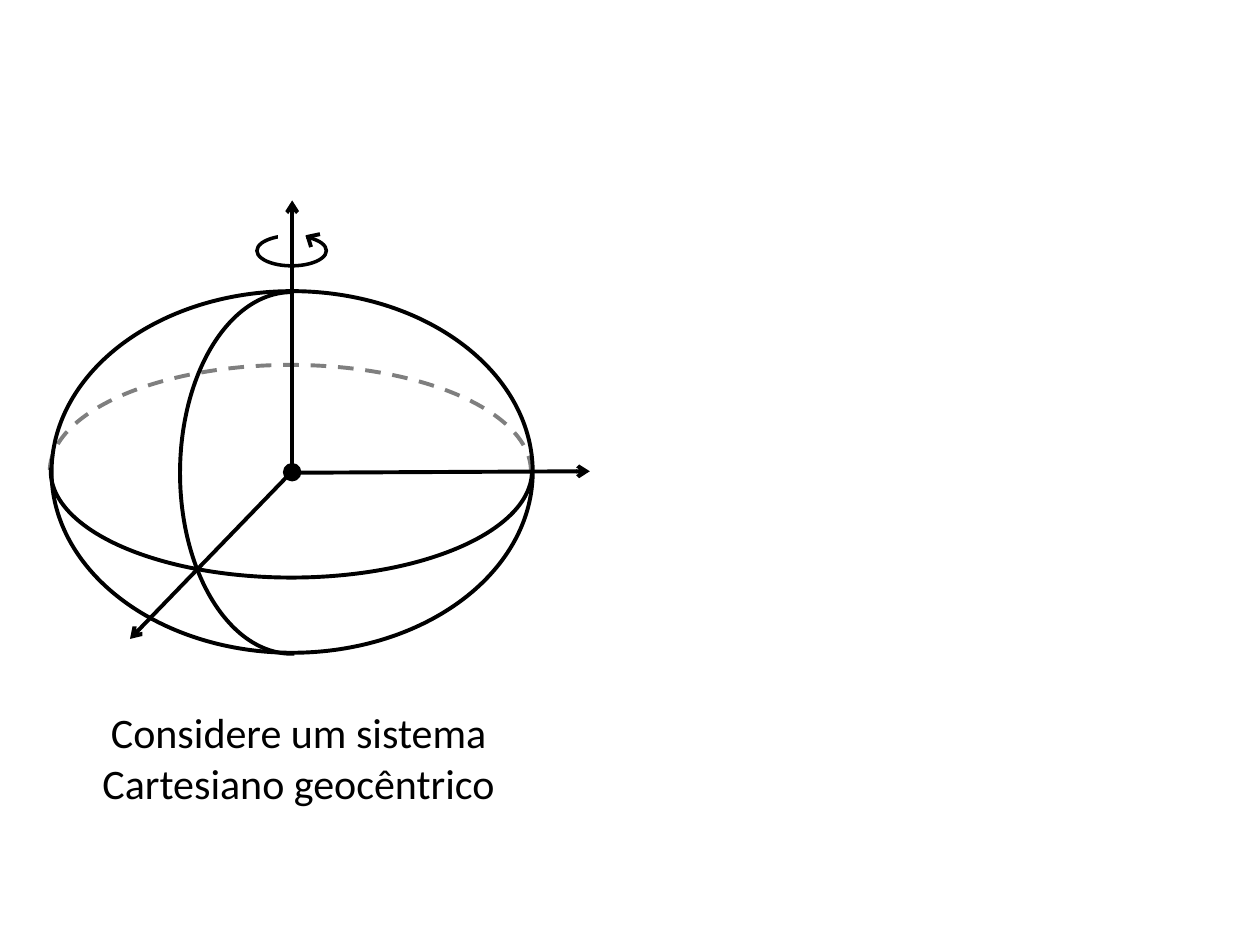
from lxml import etree
from pptx import Presentation
from pptx import util as u
from pptx.dml.color import RGBColor
from pptx.enum import dml, shapes, text
from pptx.oxml.ns import qn

BLACK = RGBColor(0, 0, 0)
WHITE = RGBColor(255, 255, 255)
MSO = shapes.MSO_SHAPE


def add_outline(kind, box, width=2.25, fill=None, color=BLACK):
    """Add a preset shape, hollow unless a fill is given; box is in cm."""
    sp = s.shapes.add_shape(kind, *[u.Cm(v) for v in box])
    sp.shadow.inherit = False
    if fill is None:
        sp.fill.background()
    else:
        sp.fill.solid()
        sp.fill.fore_color.rgb = fill
    sp.line.color.rgb = color
    sp.line.width = u.Pt(width)
    return sp


def add_stroke(start, end, arrow=False):
    """Add a straight black line between two points in cm."""
    cx = s.shapes.add_connector(
        shapes.MSO_CONNECTOR.STRAIGHT, *[u.Cm(v) for v in start + end])
    cx.line.color.rgb = BLACK
    cx.line.width = u.Pt(2.25)
    if arrow:
        etree.SubElement(cx.line._get_or_add_ln(), qn("a:tailEnd"), type="arrow")
    etree.SubElement(cx.element.spPr, qn("a:effectLst"))


prs = Presentation()
prs.slide_width, prs.slide_height = u.Cm(25.4), u.Cm(19.05)
s = prs.slides.add_slide(prs.slide_layouts[6])

# Ellipsoid with its meridian, hidden equator and visible equator
add_outline(MSO.OVAL, (1.04, 5.87, 9.7, 7.29))
arcs = [
    ((3.63, 5.89, 4.5, 7.29), 0, ["flipH"], False),
    ((3.71, 4.65, 4.29, 9.7), 90, ["flipH"], True),
    ((3.73, 4.65, 4.29, 9.7), 270, ["flipH", "flipV"], False),
]
for box, rotation, flips, hidden in arcs:
    arc = add_outline(MSO.ARC, box)
    arc.adjustments[0] = 162
    arc.adjustments[1] = 54.496
    arc.rotation = rotation
    for flip in flips:
        arc.element.spPr.xfrm.set(flip, "1")
    if hidden:
        arc.line.dash_style = dml.MSO_LINE.DASH
        clr = arc.line._get_or_add_ln().find(".//" + qn("a:srgbClr"))
        etree.SubElement(clr, qn("a:alpha"), val="50000")

# Horizontal axes and the centre of the Earth
add_stroke((5.89, 9.53), (11.89, 9.5), arrow=True)
add_stroke((5.89, 9.5), (2.62, 12.88), arrow=True)
add_outline(MSO.OVAL, (5.74, 9.37, 0.3, 0.3), 2, BLACK)

# Rotation mark: a ring opened by a white block, with an arrow tip
add_outline(MSO.OVAL, (5.18, 4.75, 1.4, 0.61), 2)
add_outline(MSO.RECTANGLE, (5.64, 4.55, 0.56, 0.51), 2, WHITE, WHITE)
add_stroke((6.17, 4.78), (6.45, 4.72))
add_stroke((6.27, 4.98), (6.2, 4.75))

# Rotation axis
add_stroke((5.89, 9.55), (5.89, 4.04), arrow=True)

caption = s.shapes.add_textbox(u.Cm(1.5), u.Cm(14.12), u.Cm(9.04), u.Cm(2.46))
tf = caption.text_frame
tf.word_wrap = True
tf.auto_size = text.MSO_AUTO_SIZE.SHAPE_TO_FIT_TEXT
p = tf.paragraphs[0]
p.alignment = text.PP_ALIGN.CENTER
r = p.add_run()
r.text = "Considere um sistema Cartesiano geocêntrico"
r.font.name = "Calibri"
r.font.size = u.Pt(24)
r.font.color.rgb = BLACK

prs.save("out.pptx")
